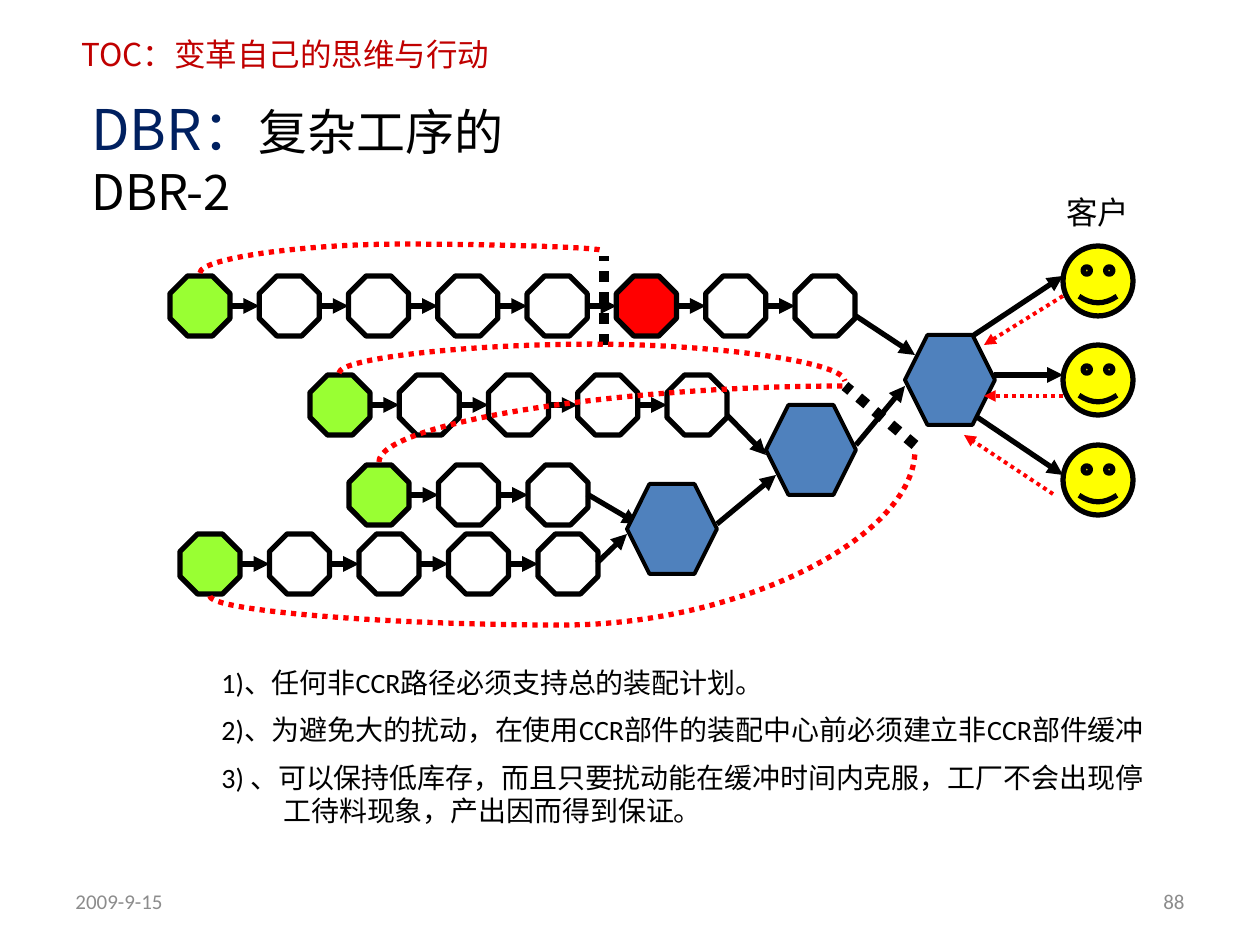
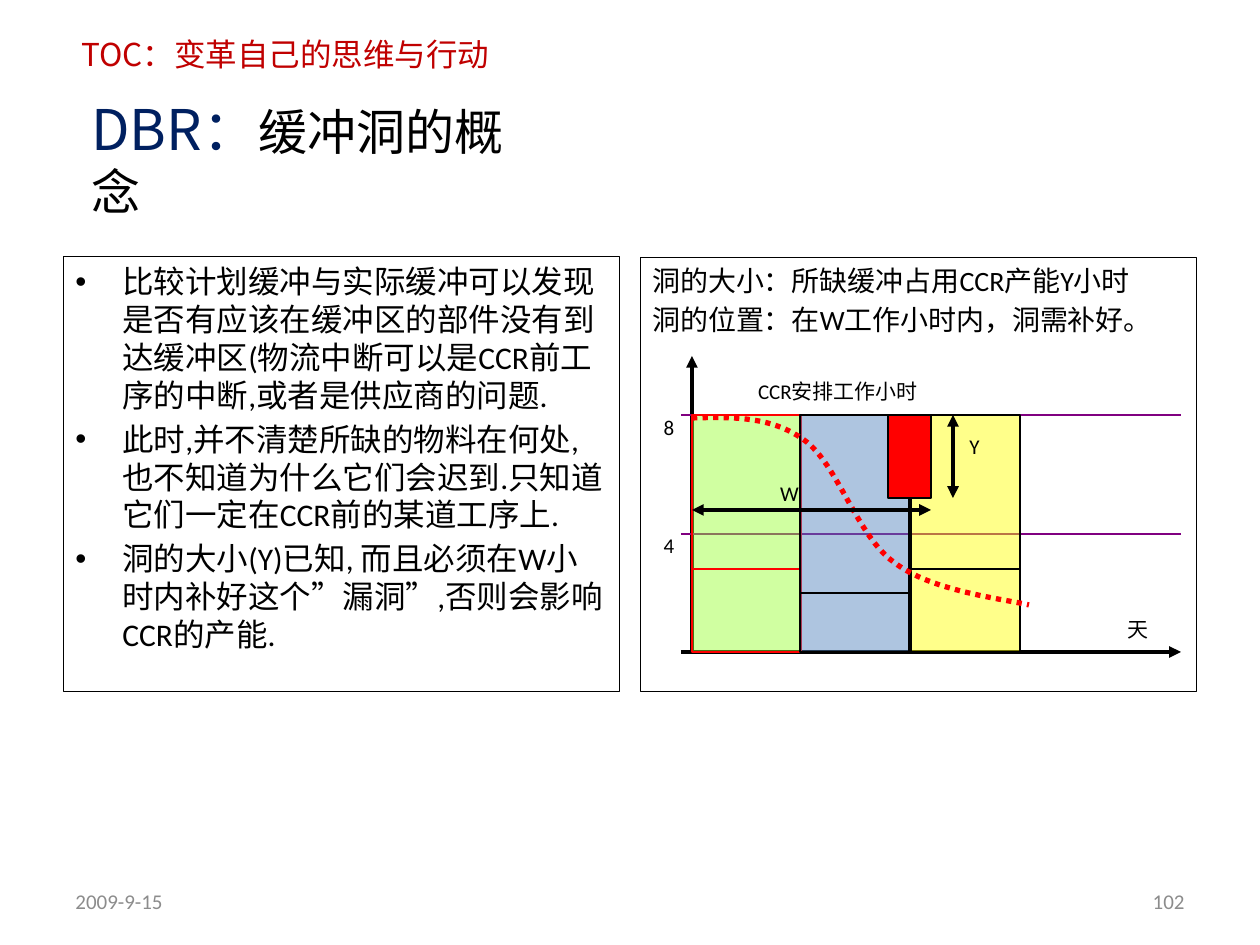
import pptx
import pptx.dml.color
import pptx.enum.dml
import pptx.enum.shapes
import pptx.enum.text
import pptx.oxml
import pptx.oxml.ns
import pptx.util

RGB = pptx.dml.color.RGBColor
SHAPE = pptx.enum.shapes.MSO_SHAPE
CONNECTOR = pptx.enum.shapes.MSO_CONNECTOR
ALIGN = pptx.enum.text.PP_ALIGN
ANCHOR = pptx.enum.text.MSO_ANCHOR
DOTS = pptx.enum.dml.MSO_LINE.ROUND_DOT
Pt = pptx.util.Pt
qn = pptx.oxml.ns.qn

BLACK = RGB(0, 0, 0)
RED = RGB(0xFF, 0, 0)
GREEN = RGB(0x99, 0xFF, 0x33)
BLUE = RGB(0x4F, 0x81, 0xBD)
YELLOW = RGB(0xFF, 0xFF, 0)
PURPLE = RGB(0x80, 0, 0x80)
GRAY = RGB(0x8C, 0x8C, 0x8C)
NAVY = RGB(0, 0x20, 0x60)
CRIMSON = RGB(0xC0, 0, 0)

BODY_FONT = "Calibri"
HEAD_FONT = "Noto Sans CJK SC"
SLIDE_W, SLIDE_H = 1260, 945


def emu(px):
    return round(px * 914400 / 126)


def add_xml(parent, tag, **attrs):
    child = parent.makeelement(qn(tag), attrs)
    parent.append(child)
    return child


def set_font(font, size, color=BLACK, name=BODY_FONT):
    font.size = Pt(size)
    font.name = name
    font.color.rgb = color


def set_line(line, color, width, dotted=False):
    line.color.rgb = color
    line.width = Pt(width)
    if dotted:
        line.dash_style = DOTS


def write(tf, texts, size, color=BLACK, name=BODY_FONT, align=ALIGN.LEFT,
          gap=0, indents=(), bullet=None):
    for i, text in enumerate(texts):
        p = tf.paragraphs[0] if i == 0 else tf.add_paragraph()
        p.alignment = align
        if i:
            p.space_before = Pt(gap)
        indent = indents[i] if indents else 0
        if indent:
            pPr = p._p.get_or_add_pPr()
            pPr.set("marL", str(emu(indent)))
            pPr.set("indent", str(-emu(indent)))
            if bullet:
                add_xml(pPr, "a:buFont", typeface="Arial")
                add_xml(pPr, "a:buChar", char=bullet)
        p.add_run().text = text
        set_font(p.font, size, color, name)


class Region:
    def __init__(self, s, x, y):
        self.shapes, self.x, self.y = s.shapes, x, y

    def point(self, x, y):
        return emu(self.x + x), emu(self.y + y)

    def shape(self, kind, x, y, w, h, fill=None, line=BLACK, width=3, alpha=None):
        sp = self.shapes.add_shape(kind, *self.point(x, y), emu(w), emu(h))
        sp.shadow.inherit = False
        if fill is None:
            sp.fill.background()
        else:
            sp.fill.solid()
            sp.fill.fore_color.rgb = fill
            if alpha:
                clr = sp._element.spPr.find(qn("a:solidFill"))[0]
                add_xml(clr, "a:alpha", val=str(alpha * 1000))
        set_line(sp.line, line, width)
        return sp

    def line(self, start, end, color=BLACK, width=3, dotted=False, heads=(),
             kind=CONNECTOR.STRAIGHT):
        c = self.shapes.add_connector(kind, *self.point(*start), *self.point(*end))
        set_line(c.line, color, width, dotted)
        for head in heads:
            add_xml(c.line._get_or_add_ln(), "a:" + head, type="triangle")
        add_xml(c._element.spPr, "a:effectLst")
        return c

    def arrow(self, start, end, color=BLACK, width=3, dotted=False):
        self.line(start, end, color, width, dotted, ("tailEnd",))

    def rope(self, start, end, level=None):
        (ax, ay), (bx, by) = start, end
        cx, cy = (ax + bx) / 2, (ay + by) / 2
        half_w, half_h = abs(by - ay) / 2, abs(bx - ax) / 2
        c = self.line((cx - half_w, cy - half_h), (cx + half_w, cy + half_h),
                      RED, 3, True, kind=CONNECTOR.CURVE)
        c.rotation = 270 if by < ay else 90
        spPr = c._element.spPr
        if by > ay:
            spPr.find(qn("a:xfrm")).set("flipV", "1")
        geom = spPr.find(qn("a:prstGeom"))
        if level is None:
            geom.set("prst", "curvedConnector2")
        else:
            adjust = round((level - ay) / (by - ay) * 100000)
            add_xml(geom.find(qn("a:avLst")), "a:gd", name="adj1", fmla=f"val {adjust}")

    def curve(self, points):
        points = [self.point(*pt) for pt in points]
        builder = self.shapes.build_freeform(*points[0], scale=1.0)
        builder.add_line_segments(points[3::3], close=False)
        sp = builder.convert_to_shape()
        sp.shadow.inherit = False
        sp.fill.background()
        set_line(sp.line, RED, 3, True)
        outline = next(sp._element.iter(qn("a:path")))
        for k, straight in enumerate(outline.findall(qn("a:lnTo"))):
            outline.remove(straight)
            bend = add_xml(outline, "a:cubicBezTo")
            for x, y in points[3 * k + 1:3 * k + 4]:
                add_xml(bend, "a:pt", x=str(x - sp.left), y=str(y - sp.top))

    def text(self, x, y, w, h, texts, size, wrap=True, anchor=ANCHOR.TOP, **style):
        tf = self.shapes.add_textbox(*self.point(x, y), emu(w), emu(h)).text_frame
        tf.word_wrap = wrap
        tf.vertical_anchor = anchor
        write(tf, texts, size, **style)
        return tf


def add_frame(prs, title, title_w, number):
    s = prs.slides.add_slide(prs.slide_layouts[6])
    page = Region(s, 0, 0)
    page.text(69, 29, 452, 50, ["TOC：变革自己的思维与行动"], 18,
              color=CRIMSON, name=HEAD_FONT)
    for x, text, align in ((63, "2009-9-15", ALIGN.LEFT), (903, number, ALIGN.RIGHT)):
        page.text(x, 876, 294, 50, [text], 12, anchor=ANCHOR.MIDDLE, color=GRAY, align=align)
    p = page.text(79, 88, title_w, 81, [], 32).paragraphs[0]
    for text, size, color in (("DBR：", 32, NAVY), (title, 28, BLACK)):
        r = p.add_run()
        r.text = text
        set_font(r.font, size, color, HEAD_FONT)
    return s


def add_process_row(net, first, last, y, count, constraint=None):
    size = 60
    pitch = (last - first) / (count - 1)
    for i in range(count):
        x = first + i * pitch
        fill = GREEN if i == 0 else RED if i == constraint else None
        net.shape(SHAPE.OCTAGON, x, y, size, size, fill)
        if i:
            net.arrow((x - pitch + size, y + size / 2), (x, y + size / 2))


def add_network(s, x, y):
    net = Region(s, x, y)
    add_process_row(net, 0, 625, 86, 8, constraint=5)
    add_process_row(net, 140, 497, 185, 5)
    add_process_row(net, 179, 358, 275, 3)
    add_process_row(net, 10, 368, 344, 5)

    flows = [((686, 126), (745, 165)), ((557, 225), (596, 265)),
             ((417, 304), (468, 334)), ((427, 373), (457, 344)),
             ((547, 334), (606, 285)), ((686, 255), (735, 196)),
             ((804, 145), (893, 86)), ((824, 185), (893, 185)),
             ((804, 225), (893, 285))]
    for start, end in flows:
        net.arrow(start, end)
    for left, top in ((735, 145), (596, 215), (457, 294)):
        net.shape(SHAPE.HEXAGON, left, top, 90, 90, BLUE, width=2.25)

    net.text(884, -3, 88, 50, ["客户"], 18, wrap=False)
    for top in (56, 155, 255):
        net.shape(SHAPE.SMILEY_FACE, 893, top, 70, 70, YELLOW)
    orders = [((893, 106), (814, 155)), ((893, 206), (814, 206)), ((883, 304), (794, 245))]
    for start, end in orders:
        net.arrow(start, end, RED, 2.25, True)

    for start, end in (((434, 155), (434, 66)), ((745, 255), (675, 196))):
        net.line(start, end, width=6, dotted=True)
    net.rope((30, 83), (434, 61), 54)
    net.rope((169, 183), (675, 191), 154)
    net.rope((209, 272), (675, 196))
    net.rope((40, 406), (745, 260), 435)


def add_rules(s, x, y, w, h):
    Region(s, x, y).text(0, 0, w, h, [
        "1)、任何非CCR路径必须支持总的装配计划。",
        "2)、为避免大的扰动，在使用CCR部件的装配中心前必须建立非CCR部件缓冲",
        "3) 、可以保持低库存，而且只要扰动能在缓冲时间内克服，工厂不会出现停工待料现象，产出因而得到保证。",
    ], 16, gap=8, indents=(0, 0, 62))


def add_panel(s, x, y, w, h, texts, size, gap, bullet=None):
    panel = Region(s, x, y)
    tf = panel.shape(SHAPE.RECTANGLE, 0, 0, w, h, width=0.25).text_frame
    tf.word_wrap = True
    tf.vertical_anchor = ANCHOR.TOP
    write(tf, texts, size, gap=gap, indents=[47] * len(texts), bullet=bullet)
    return panel


def add_buffer_chart(chart):
    left, right, base, full, half = 52, 541, 395, 158, 277
    chart.arrow((left, base), (left, 99), width=2.25)
    chart.arrow((41, base), (right, base), width=2.25)
    for level in (half, full):
        chart.line((41, level), (right, level), PURPLE, 0.75)

    bars = [(left, 312, GREEN, RED), (160, 336, BLUE, BLACK), (271, 312, YELLOW, BLACK)]
    for x, split, fill, line in bars:
        for top, bottom in ((split, base), (full, split)):
            chart.shape(SHAPE.RECTANGLE, x, top, 109, bottom - top, fill, line, 0.75, alpha=46)

    chart.curve([(left, 161), (91, 160), (131, 159), (164, 183), (198, 207),
                 (217, 280), (255, 306), (291, 334), (363, 342), (389, 348)])
    chart.shape(SHAPE.RECTANGLE, 248, full, 43, 83, RED, width=0.75)
    for start, end in (((left, 253), (291, 253)), ((313, full), (313, 241))):
        chart.line(start, end, width=2.25, heads=("headEnd", "tailEnd"))

    labels = [("天", 474, 353, 48), ("CCR安排工作小时", 96, 115, 204), ("8", 10, 151, 38),
              ("4", 10, 269, 38), ("Y", 305, 170, 59), ("W", 120, 217, 59)]
    for text, x, y, w in labels:
        chart.text(x, y, w, 29, [text], 12, wrap=False, align=ALIGN.CENTER)


def main():
    prs = pptx.Presentation()
    prs.slide_width, prs.slide_height = emu(SLIDE_W), emu(SLIDE_H)

    s = add_frame(prs, "复杂工序的DBR-2", 538, "88")
    add_network(s, 170, 190)
    add_rules(s, 209, 659, 963, 183)

    s = add_frame(prs, "缓冲洞的概念", 464, "102")
    add_panel(s, 63, 256, 556, 435, [
        "比较计划缓冲与实际缓冲可以发现是否有应该在缓冲区的部件没有到达缓冲区(物流中断可以是CCR前工序的中断,或者是供应商的问题.",
        "此时,并不清楚所缺的物料在何处,也不知道为什么它们会迟到.只知道它们一定在CCR前的某道工序上.",
        "洞的大小(Y)已知, 而且必须在W小时内补好这个”漏洞”,否则会影响CCR的产能.",
    ], 18, 3.6, "•")
    chart = add_panel(s, 640, 257, 556, 434, [
        "洞的大小：所缺缓冲占用CCR产能Y小时",
        "洞的位置：在W工作小时内，洞需补好。",
    ], 16, 3.2)
    add_buffer_chart(chart)

    prs.save("out.pptx")


if __name__ == "__main__":
    main()
